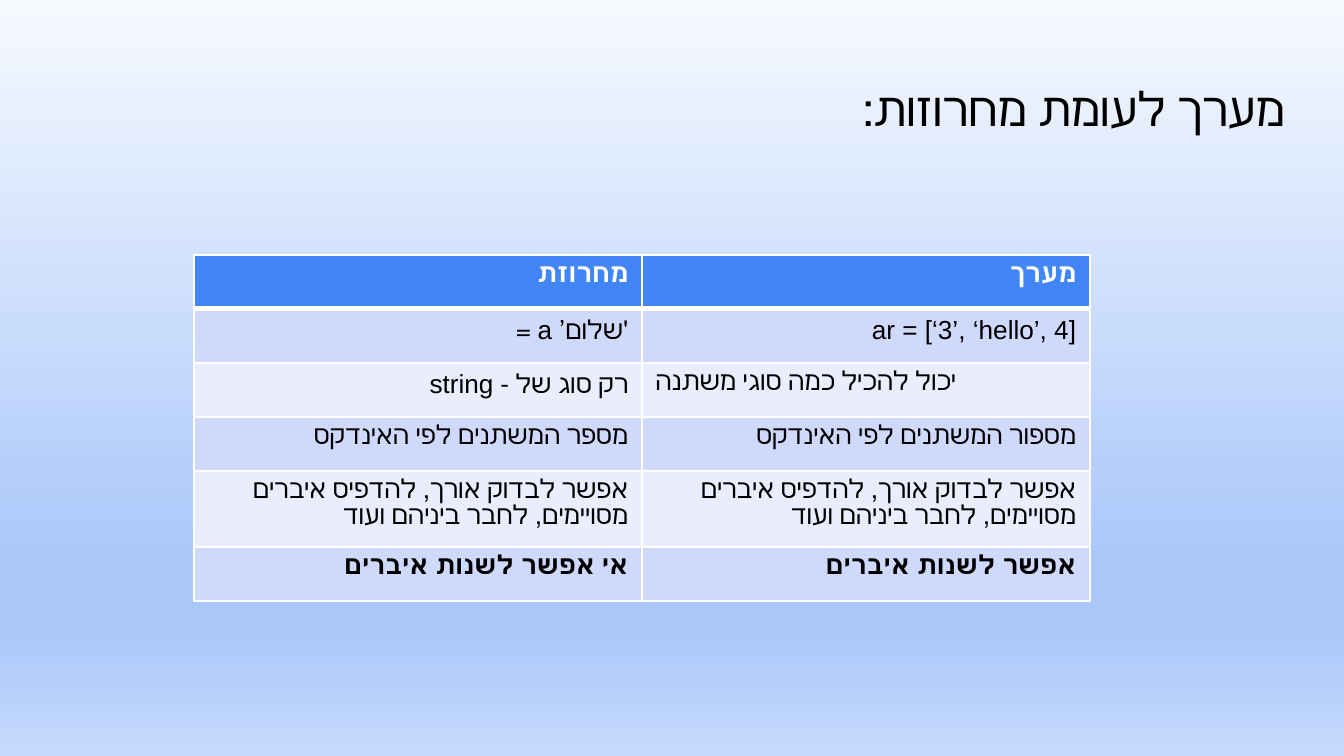
from lxml.etree import SubElement
from pptx import Presentation
from pptx.dml.color import RGBColor
from pptx.enum.text import MSO_ANCHOR, PP_ALIGN
from pptx.oxml.ns import qn
from pptx.util import Emu, Pt

SCALE = 914400 / 134.4


def px(n):
    return Emu(round(n * SCALE))


def write(frame, text, size=14, color="000000", bold=False, rtl=True):
    par = frame.paragraphs[0]
    par.alignment = PP_ALIGN.RIGHT if rtl else PP_ALIGN.LEFT
    par._p.get_or_add_pPr().set("rtl", "1" if rtl else "0")
    run = par.add_run()
    run.text = text
    font = run.font
    font.name, font.size, font.bold = "Arial", Pt(size), bold
    font.color.rgb = RGBColor.from_string(color)


deck = Presentation()
deck.slide_width, deck.slide_height = px(1344), px(756)
slide = deck.slides.add_slide(deck.slide_layouts[6])

# Background gradient, top to bottom
back = slide.background.fill
back.gradient()
back.gradient_angle = 270
stops = slide.element.find(".//" + qn("a:gsLst"))
for stop in list(stops):
    stops.remove(stop)
for pos, color in [(0, "F6F9FE"), (74, "AAC8FA"), (83, "AAC8FA"), (100, "C6DAFC")]:
    stop = SubElement(stops, qn("a:gs"), pos=str(pos * 1000))
    SubElement(stop, qn("a:srgbClr"), val=color)

# Title
title = slide.shapes.add_textbox(px(46), px(66), px(1252), px(84)).text_frame
title.word_wrap = True
title.vertical_anchor = MSO_ANCHOR.MIDDLE
title.margin_left = title.margin_right = px(13)
title.margin_top = title.margin_bottom = px(13)
write(title, "מערך לעומת מחרוזות:", size=25.2)

# Table: string on the left, array on the right
both = "אפשר לבדוק אורך, להדפיס איברים מסויימים, לחבר ביניהם ועוד"
mixed = "יכול להכיל כמה סוגי משתנה"
rows = [
    ("מחרוזת", "מערך"),
    ("'שלום’ a = ", "ar = [‘3’, ‘hello’, 4]"),
    ("רק סוג של - string", mixed),
    ("מספר המשתנים לפי האינדקס", "מספור המשתנים לפי האינדקס"),
    (both, both),
    ("אי אפשר לשנות איברים", "אפשר לשנות איברים"),
]
last = len(rows) - 1
table = slide.shapes.add_table(
    len(rows), 2, px(194), px(255), px(896), px(330)).table
for col in table.columns:
    col.width = px(448)
for r, texts in enumerate(rows):
    table.rows[r].height = px(66 if r == 4 else 54)
    for c, text in enumerate(texts):
        cell = table.cell(r, c)
        props = cell._tc.get_or_add_tcPr()
        for side in "LRTB":
            thick = (r, side) in [(0, "B"), (1, "T")]
            line = SubElement(props, qn("a:ln" + side), w=str(Pt(3 if thick else 1)))
            paint = SubElement(line, qn("a:solidFill"))
            SubElement(paint, qn("a:srgbClr"), val="FFFFFF")
        cell.fill.solid()
        shade = "4285F4" if r == 0 else ("E9EDFD", "CFD9FB")[r % 2]
        cell.fill.fore_color.rgb = RGBColor.from_string(shade)
        write(cell.text_frame, text, color="FFFFFF" if r == 0 else "000000",
              bold=r in (0, last), rtl=text != mixed)

deck.save("out.pptx")
